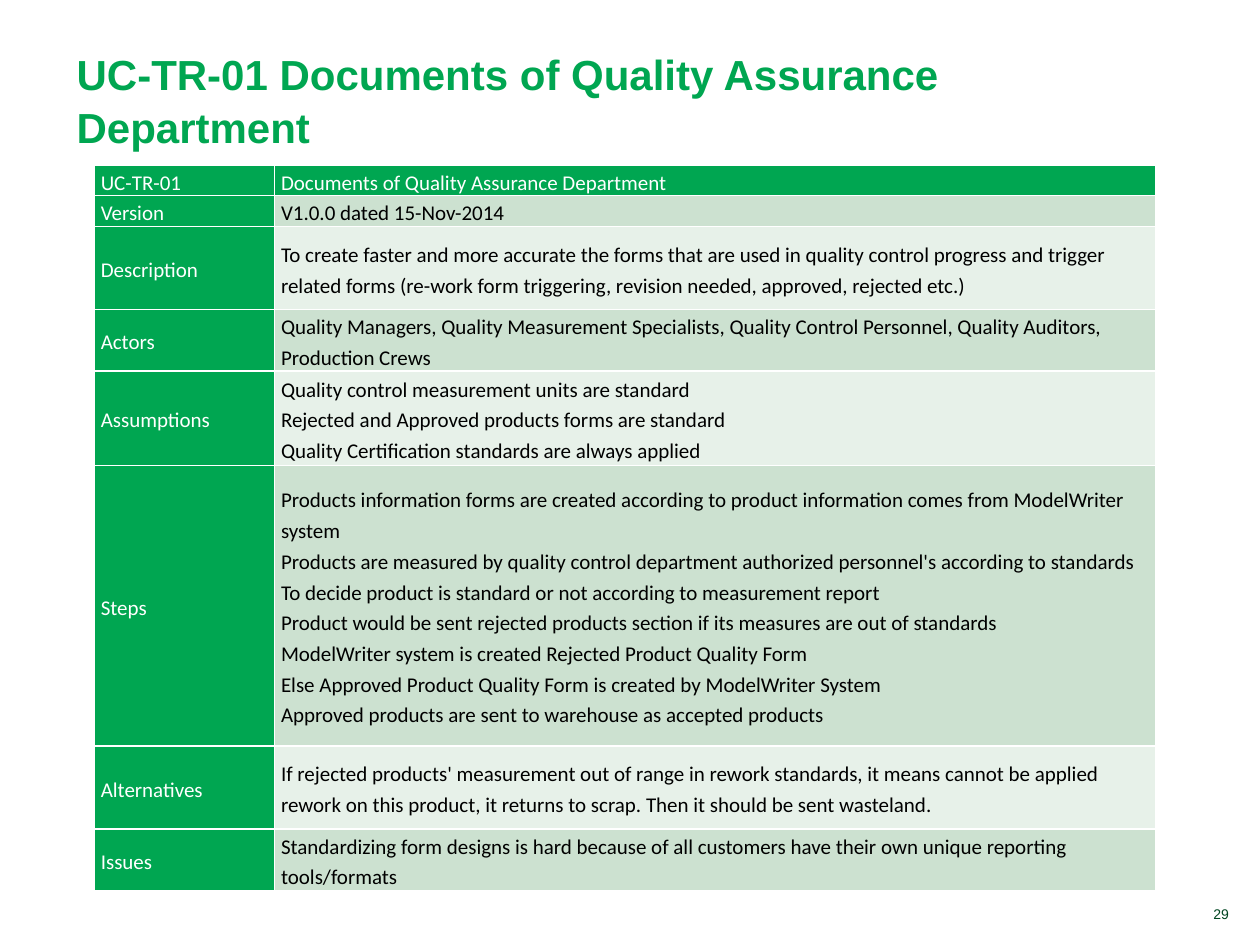
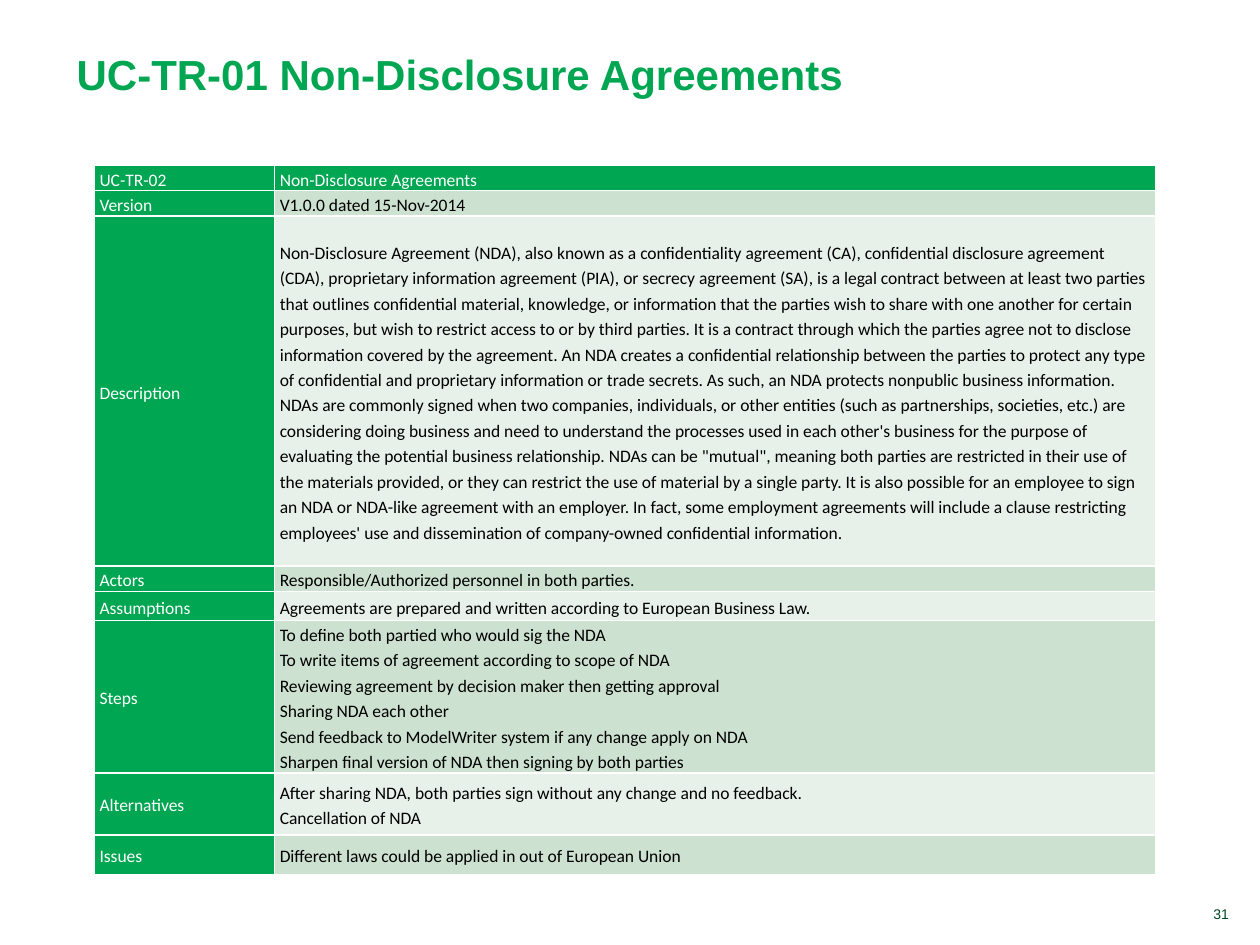
import pptx
import pptx.util
import pptx.dml.color
import pptx.enum.text
import pptx.oxml
import pptx.oxml.ns

Pt = pptx.util.Pt
RGBColor = pptx.dml.color.RGBColor
ALIGN = pptx.enum.text.PP_ALIGN
ANCHOR = pptx.enum.text.MSO_ANCHOR

GREEN = RGBColor(0x00, 0xA6, 0x51)
DARK_GREEN = RGBColor(0x00, 0x46, 0x21)
WHITE = RGBColor(0xFF, 0xFF, 0xFF)
BLACK = RGBColor(0x00, 0x00, 0x00)
BANDS = (RGBColor(0xCC, 0xE1, 0xD0), RGBColor(0xE7, 0xF1, 0xE9))

TABLE_LEFT, TABLE_TOP = 54, 94.5
COLUMN_WIDTHS = (103, 503.3)

# Each row: label, lines of its description, height
USE_CASES = [
    {
        "title": "UC-TR-01 Documents of Quality Assurance Department",
        "page": "29",
        "size": 12,
        "margin": 3.6,
        "rows": [
            ("UC-TR-01", ["Documents of Quality Assurance Department"], 16.9),
            ("Version", ["V1.0.0 dated 15-Nov-2014"], 17.6),
            ("Description", [
                "To create faster and more accurate the forms that are used in quality control "
                "progress and trigger related forms (re-work form triggering, revision needed, "
                "approved, rejected etc.)"], 47.5),
            ("Actors", [
                "Quality Managers, Quality Measurement Specialists, Quality Control Personnel, "
                "Quality Auditors, Production Crews"], 35.1),
            ("Assumptions", [
                "Quality control measurement units are standard",
                "Rejected and Approved products forms are standard",
                "Quality Certification standards are always applied"], 54),
            ("Steps", [
                "Products information forms are created according to product information comes "
                "from ModelWriter system",
                "Products are measured by quality control department authorized personnel's "
                "according to standards",
                "To decide product is standard or not according to measurement report",
                "Product would be sent rejected products section if its measures are out of "
                "standards",
                "ModelWriter system is created Rejected Product Quality Form",
                "Else Approved Product Quality Form is created by ModelWriter System",
                "Approved products are sent to warehouse as accepted products"], 160.3),
            ("Alternatives", [
                "If rejected products' measurement out of range in rework standards, it means "
                "cannot be applied rework on this product, it returns to scrap. Then it should "
                "be sent wasteland."], 47.6),
            ("Issues", [
                "Standardizing form designs is hard because of all customers have their own "
                "unique reporting tools/formats"], 35),
        ],
    },
    {
        "title": "UC-TR-01 Non-Disclosure Agreements",
        "page": "31",
        "size": 10,
        "margin": 2.9,
        "rows": [
            ("UC-TR-02", ["Non-Disclosure Agreements"], 14),
            ("Version", ["V1.0.0 dated 15-Nov-2014"], 14.6),
            ("Description", [
                "Non-Disclosure Agreement (NDA), also known as a confidentiality agreement (CA), "
                "confidential disclosure agreement (CDA), proprietary information agreement "
                "(PIA), or secrecy agreement (SA), is a legal contract between at least two "
                "parties that outlines confidential material, knowledge, or information that the "
                "parties wish to share with one another for certain purposes, but wish to "
                "restrict access to or by third parties. It is a contract through which the "
                "parties agree not to disclose information covered by the agreement. An NDA "
                "creates a confidential relationship between the parties to protect any type of "
                "confidential and proprietary information or trade secrets. As such, an NDA "
                "protects nonpublic business information.",
                "NDAs are commonly signed when two companies, individuals, or other entities "
                "(such as partnerships, societies, etc.) are considering doing business and need "
                "to understand the processes used in each other's business for the purpose of "
                "evaluating the potential business relationship. NDAs can be \"mutual\", meaning "
                "both parties are restricted in their use of the materials provided, or they can "
                "restrict the use of material by a single party. It is also possible for an "
                "employee to sign an NDA or NDA-like agreement with an employer. In fact, some "
                "employment agreements will include a clause restricting employees' use and "
                "dissemination of company-owned confidential information."], 200),
            ("Actors", ["Responsible/Authorized personnel in both parties."], 14.6),
            ("Assumptions", [
                "Agreements are prepared and written according to European Business Law."], 16.6),
            ("Steps", [
                "To define both partied who would sig the NDA",
                "To write items of agreement according to scope of NDA",
                "Reviewing agreement by decision maker then getting approval",
                "Sharing NDA each other",
                "Send feedback to ModelWriter system if any change apply on NDA",
                "Sharpen final version of NDA then signing by both parties"], 86.9),
            ("Alternatives", [
                "After sharing NDA, both parties sign without any change and no feedback.",
                "Cancellation of NDA"], 35.6),
            ("Issues", ["Different laws could be applied in out of European Union"], 22.6),
        ],
    },
]


def write(frame, text, font="Arial", size=12, color=BLACK, bold=False,
          align=ALIGN.LEFT, spacing=1.0):
    """Fill a text frame with one formatted paragraph; newlines become line breaks."""
    frame.word_wrap = True
    paragraph = frame.paragraphs[0]
    paragraph.text = text
    paragraph.alignment = align
    paragraph.line_spacing = spacing
    for run in paragraph.runs:
        run.font.name = font
        run.font.size = Pt(size)
        run.font.bold = bold
        run.font.color.rgb = color


def add_box(slide, left, top, width, height, anchor, text, **text_format):
    box = slide.shapes.add_textbox(Pt(left), Pt(top), Pt(width), Pt(height))
    frame = box.text_frame
    frame.vertical_anchor = anchor
    write(frame, text, **text_format)
    return frame


def add_borders(cell):
    """Draw thin white lines on all four sides, ahead of the fill as the schema asks."""
    properties = cell._tc.get_or_add_tcPr()
    for position, side in enumerate(("lnL", "lnR", "lnT", "lnB")):
        properties.insert(position, pptx.oxml.parse_xml(
            f'<a:{side} {pptx.oxml.ns.nsdecls("a")} w="{Pt(1)}">'
            f'<a:solidFill><a:srgbClr val="{WHITE}"/></a:solidFill></a:{side}>'))


def add_use_case_table(slide, use_case):
    rows = use_case["rows"]
    height = sum(row[2] for row in rows)
    table = slide.shapes.add_table(
        len(rows), len(COLUMN_WIDTHS), Pt(TABLE_LEFT), Pt(TABLE_TOP),
        Pt(sum(COLUMN_WIDTHS)), Pt(height)).table
    for column, width in zip(table.columns, COLUMN_WIDTHS):
        column.width = Pt(width)
    for row_index, (label, lines, row_height) in enumerate(rows):
        table.rows[row_index].height = Pt(row_height)
        for column_index, text in enumerate((label, "\n".join(lines))):
            cell = table.cell(row_index, column_index)
            is_heading = row_index == 0 or column_index == 0
            cell.fill.solid()
            cell.fill.fore_color.rgb = GREEN if is_heading else BANDS[(row_index - 1) % 2]
            cell.margin_left = cell.margin_right = Pt(use_case["margin"])
            cell.margin_top = cell.margin_bottom = 0
            cell.vertical_anchor = ANCHOR.MIDDLE
            write(cell.text_frame, text, font="Calibri", size=use_case["size"],
                  color=WHITE if is_heading else BLACK, spacing=1.2)
            add_borders(cell)


def add_use_case_slide(deck, use_case):
    slide = deck.slides.add_slide(deck.slide_layouts[6])
    title = add_box(slide, 36.7, 21, 612, 65.5, ANCHOR.TOP, use_case["title"],
                    size=24, color=GREEN, bold=True, spacing=1.05)
    title.margin_top = Pt(5.3)
    add_use_case_table(slide, use_case)
    add_box(slide, 615, 514, 94.3, 16.6, ANCHOR.BOTTOM, use_case["page"],
            size=8, color=DARK_GREEN, align=ALIGN.RIGHT)


def main():
    deck = pptx.Presentation()
    deck.slide_width, deck.slide_height = Pt(720), Pt(540)
    for use_case in USE_CASES:
        add_use_case_slide(deck, use_case)
    deck.save("out.pptx")


if __name__ == "__main__":
    main()
